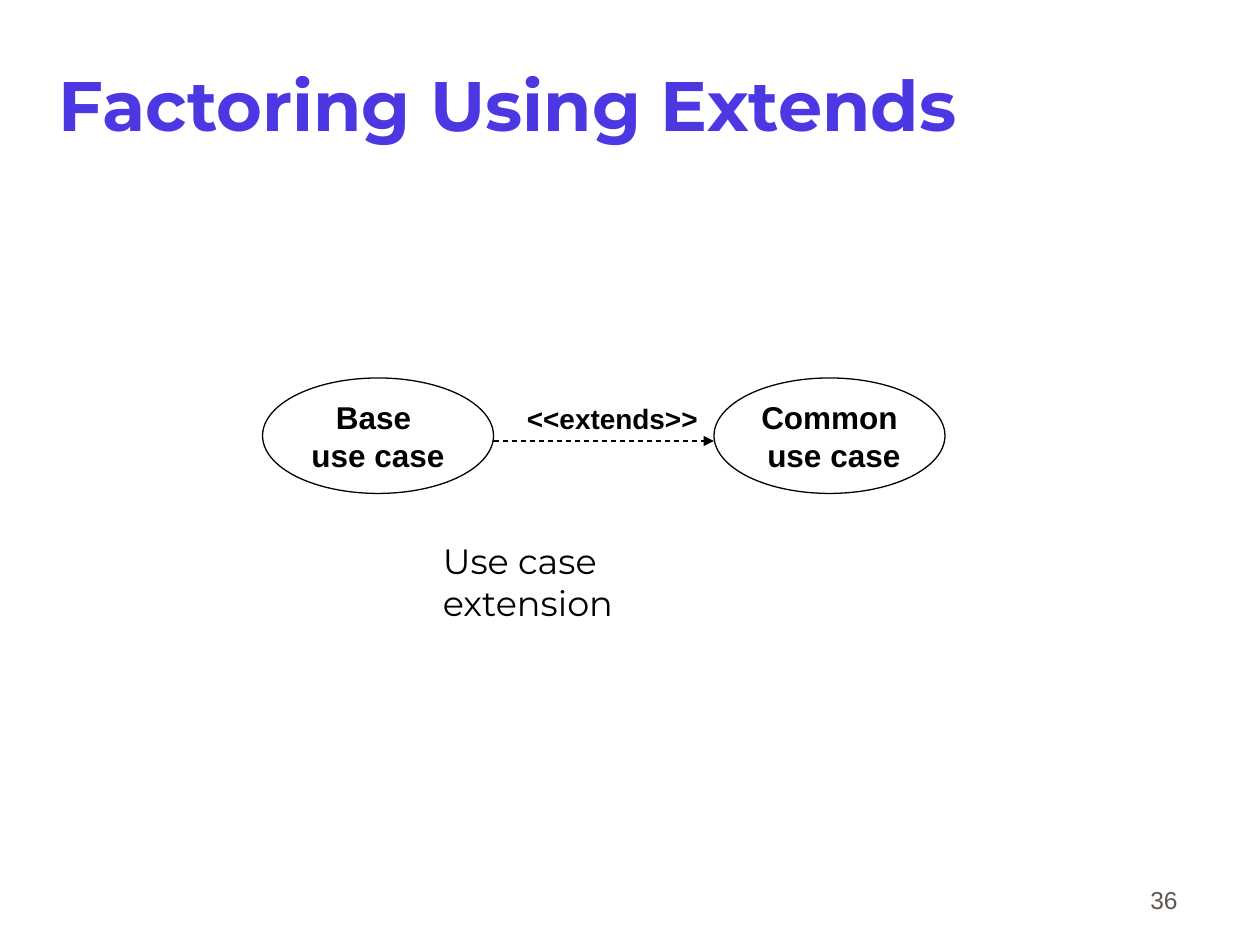
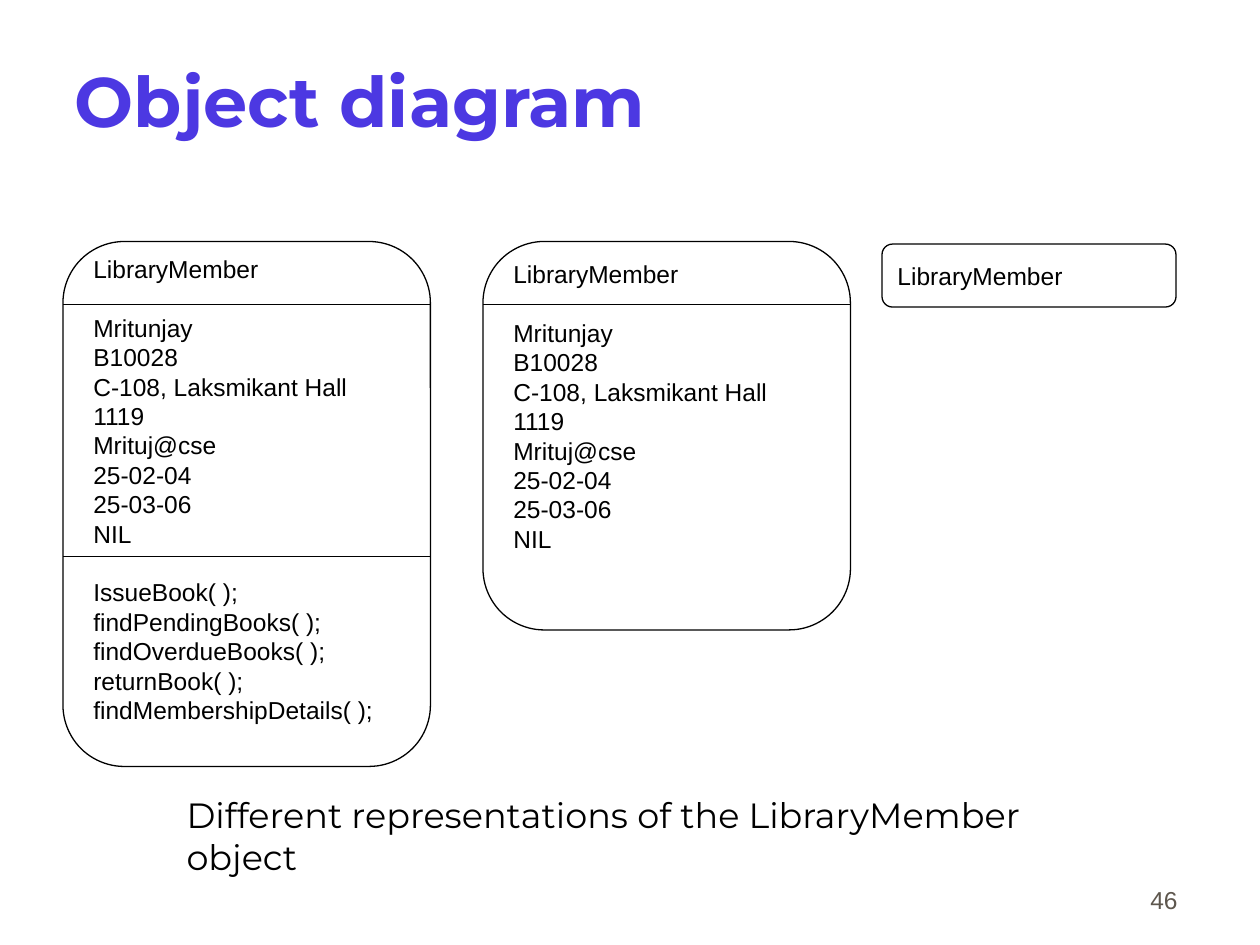
from dataclasses import dataclass

import pptx
import pptx.dml.color
import pptx.enum.dml
import pptx.enum.shapes
import pptx.enum.text
import pptx.oxml
import pptx.oxml.ns
import pptx.presentation
import pptx.shapes.autoshape
import pptx.shapes.connector
import pptx.slide
import pptx.text.text
import pptx.util

Pt = pptx.util.Pt
RGBColor = pptx.dml.color.RGBColor
Anchor = pptx.enum.text.MSO_ANCHOR
Align = pptx.enum.text.PP_ALIGN
Preset = pptx.enum.shapes.MSO_SHAPE

BLACK = RGBColor(0x00, 0x00, 0x00)
VIOLET = RGBColor(0x4C, 0x38, 0xE2)
GREY = RGBColor(0x5E, 0x57, 0x4E)
HEADING_FONT = "Montserrat"
BODY_FONT = "Arial"
LINE_WIDTH = 0.75
CORNER = 0.167
LEADING = 1.2


@dataclass(frozen=True)
class Frame:
    left: float
    top: float
    width: float
    height: float


@dataclass(frozen=True)
class TextStyle:
    font: str
    size: float
    color: RGBColor = BLACK
    bold: bool = False
    align: Align = Align.LEFT
    anchor: Anchor = Anchor.TOP
    side_inset: float = 7.2
    fixed_leading: bool = False

    @property
    def line_height(self) -> float:
        return self.size * LEADING


@dataclass(frozen=True)
class ObjectBox:
    frame: Frame
    sections: tuple[tuple[str, ...], ...]
    dividers: tuple[float, ...] = ()
    lines_below: int = 0


TITLE = TextStyle(HEADING_FONT, 40, VIOLET, True, anchor=Anchor.MIDDLE, side_inset=1.44)
PAGE_NUMBER = TextStyle(BODY_FONT, 14, GREY, align=Align.RIGHT, anchor=Anchor.BOTTOM)
CAPTION = TextStyle(HEADING_FONT, 20)
USE_CASE = TextStyle(BODY_FONT, 18, bold=True, align=Align.CENTER,
                     anchor=Anchor.MIDDLE, side_inset=0, fixed_leading=True)
STEREOTYPE = TextStyle(BODY_FONT, 16, bold=True)
OBJECT = TextStyle(BODY_FONT, 14, anchor=Anchor.MIDDLE, fixed_leading=True)

NAME = ("LibraryMember",)
ATTRIBUTES = ("Mritunjay", "B10028", "C-108, Laksmikant Hall", "1119",
              "Mrituj@cse", "25-02-04", "25-03-06", "NIL")
OPERATIONS = ("IssueBook( );", "findPendingBooks( );", "findOverdueBooks( );",
              "returnBook( );", "findMembershipDetails( );")

OBJECT_BOXES = (
    ObjectBox(Frame(36, 138, 210, 300), (NAME, ATTRIBUTES, OPERATIONS), (174, 318), 1),
    ObjectBox(Frame(276, 138, 210, 222), (NAME, ATTRIBUTES), (174,), 2),
    ObjectBox(Frame(504, 139.5, 168, 36), (NAME,)),
)
USE_CASES = (
    (Frame(150, 216, 132, 66), ("Base ", "use case")),
    (Frame(408, 216, 132, 66), ("Common", " use case")),
)


def write_sections(frame: pptx.text.text.TextFrame, style: TextStyle,
                   sections: tuple[tuple[str, ...], ...]) -> None:
    frame.word_wrap = True
    frame.vertical_anchor = style.anchor
    frame.margin_left = frame.margin_right = Pt(style.side_inset)
    frame.margin_top = frame.margin_bottom = Pt(3.6)
    para = frame.paragraphs[0]
    for section_index, lines in enumerate(sections):
        for line_index, line in enumerate(lines):
            if section_index or line_index:
                para = frame.add_paragraph()
            para.text = line
            para.alignment = style.align
            if style.fixed_leading:
                para.line_spacing = Pt(style.line_height)
            if section_index and not line_index:
                para.space_before = Pt(style.line_height)
            para.font.name = style.font
            para.font.size = Pt(style.size)
            para.font.bold = style.bold
            para.font.color.rgb = style.color


def add_text(page: pptx.slide.Slide, frame: Frame, text: str, style: TextStyle) -> None:
    box = page.shapes.add_textbox(Pt(frame.left), Pt(frame.top), Pt(frame.width), Pt(frame.height))
    write_sections(box.text_frame, style, ((text,),))


def add_outline(page: pptx.slide.Slide, preset: Preset,
                frame: Frame) -> pptx.shapes.autoshape.Shape:
    shape = page.shapes.add_shape(
        preset, Pt(frame.left), Pt(frame.top), Pt(frame.width), Pt(frame.height))
    shape.shadow.inherit = False
    shape.fill.background()
    shape.line.color.rgb = BLACK
    shape.line.width = Pt(LINE_WIDTH)
    return shape


def add_level_line(page: pptx.slide.Slide, left: float, right: float,
                   height: float) -> pptx.shapes.connector.Connector:
    line = page.shapes.add_connector(
        pptx.enum.shapes.MSO_CONNECTOR.STRAIGHT, Pt(left), Pt(height), Pt(right), Pt(height))
    line.line.color.rgb = BLACK
    line.line.width = Pt(LINE_WIDTH)
    properties = line.element.spPr
    properties.append(pptx.oxml.parse_xml(f"<a:effectLst {pptx.oxml.ns.nsdecls('a')}/>"))
    return line


def add_dashed_arrow(page: pptx.slide.Slide, left: float, right: float, height: float) -> None:
    arrow = add_level_line(page, left, right, height)
    arrow.line.dash_style = pptx.enum.dml.MSO_LINE.DASH
    outline = arrow.element.spPr.find(pptx.oxml.ns.qn("a:ln"))
    outline.append(pptx.oxml.parse_xml(
        f"<a:tailEnd {pptx.oxml.ns.nsdecls('a')} type='triangle'/>"))


def add_object_box(page: pptx.slide.Slide, item: ObjectBox) -> None:
    shape = add_outline(page, Preset.ROUNDED_RECTANGLE, item.frame)
    shape.adjustments[0] = CORNER
    write_sections(shape.text_frame, OBJECT, item.sections)
    shape.text_frame.margin_bottom = Pt(3.6 + item.lines_below * OBJECT.line_height)
    for height in item.dividers:
        add_level_line(page, item.frame.left, item.frame.left + item.frame.width, height)


def add_page(deck: pptx.presentation.Presentation, title: str, title_frame: Frame,
             number: int) -> pptx.slide.Slide:
    page = deck.slides.add_slide(deck.slide_layouts[6])
    add_text(page, Frame(530, 490, 150, 36), str(number), PAGE_NUMBER)
    add_text(page, title_frame, title, TITLE)
    return page


def build_extends_page(deck: pptx.presentation.Presentation) -> None:
    page = add_page(deck, "Factoring Using Extends", Frame(32, 14, 612, 90), 36)
    for frame, lines in USE_CASES:
        ellipse = add_outline(page, Preset.OVAL, frame)
        write_sections(ellipse.text_frame, USE_CASE, (lines,))
    base, common = (frame for frame, _ in USE_CASES)
    add_dashed_arrow(page, base.left + base.width, common.left, 252)
    add_text(page, Frame(294, 226, 118, 26.6), "<<extends>>", STEREOTYPE)
    add_text(page, Frame(246, 304.5, 194, 31.5), "Use case extension", CAPTION)


def build_object_page(deck: pptx.presentation.Presentation) -> None:
    page = add_page(deck, " Object diagram", Frame(30, 12, 612, 90), 46)
    for item in OBJECT_BOXES:
        add_object_box(page, item)
    add_text(page, Frame(99.5, 450, 528, 31.5),
             "Different representations of the LibraryMember object", CAPTION)


def main() -> None:
    deck = pptx.Presentation()
    deck.slide_width = Pt(720)
    deck.slide_height = Pt(540)
    build_extends_page(deck)
    build_object_page(deck)
    deck.save("out.pptx")


if __name__ == "__main__":
    main()
